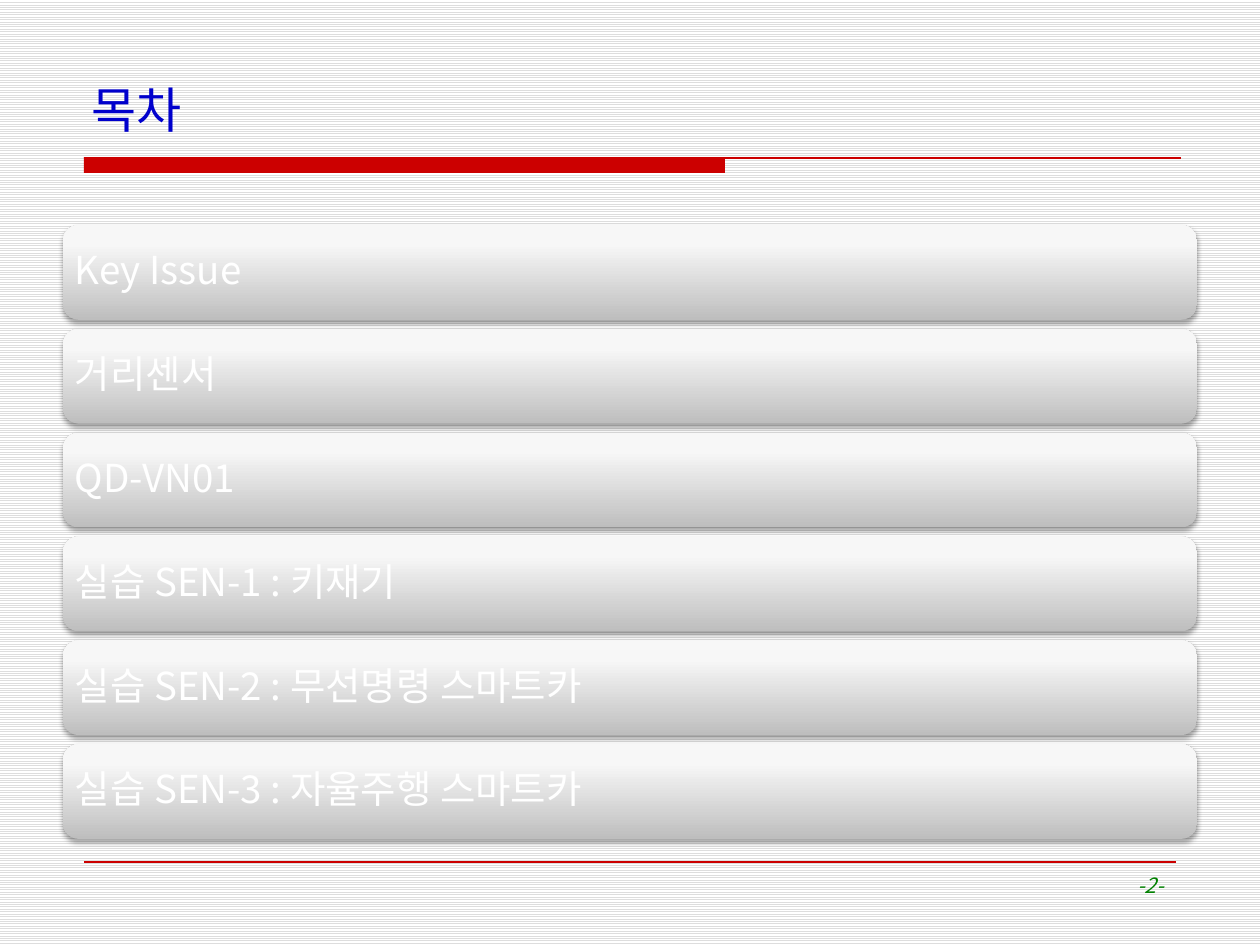
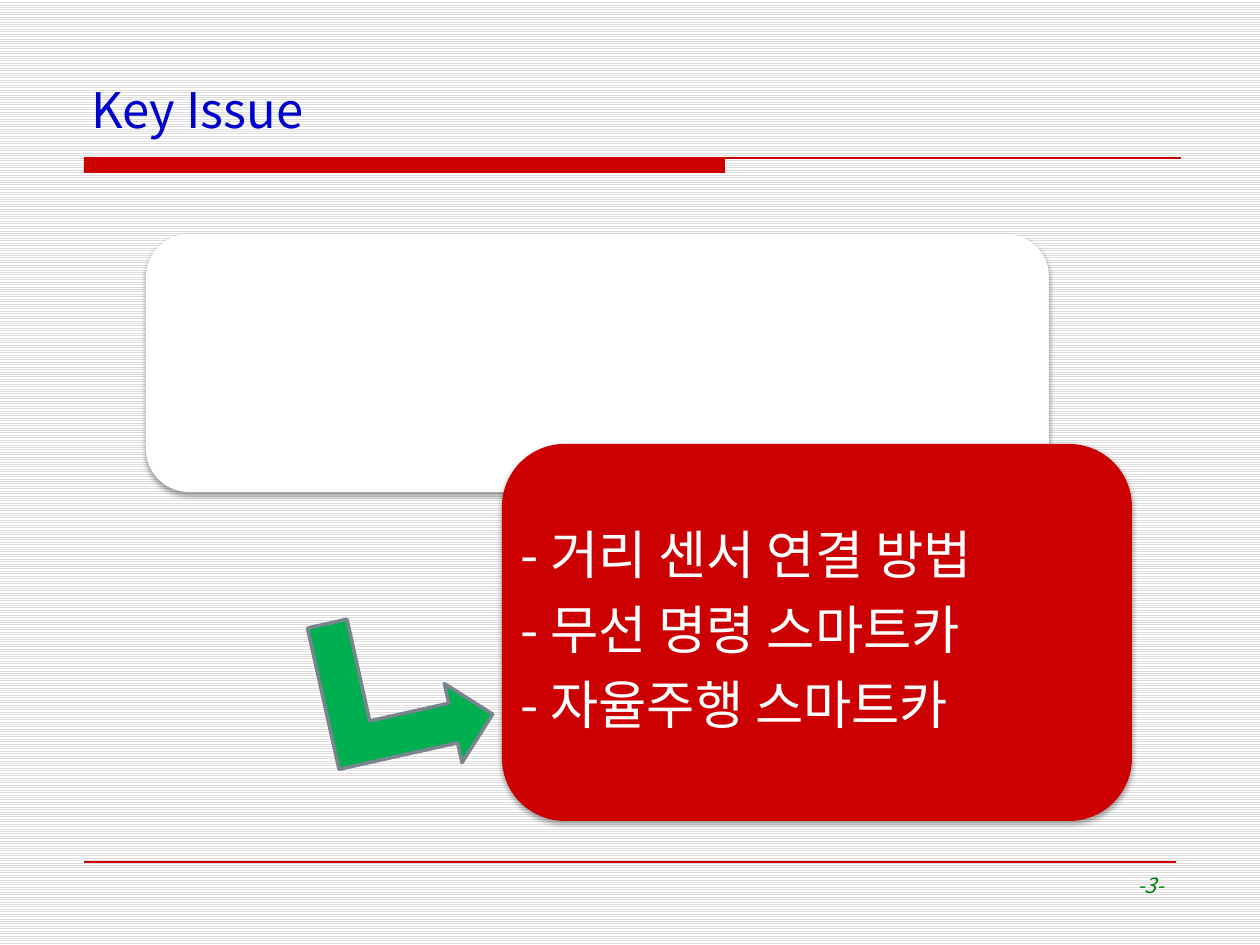
from copy import deepcopy
from dataclasses import dataclass

from lxml import etree
from pptx import Presentation
from pptx.dml.color import RGBColor as RGB
from pptx.enum.dml import MSO_PATTERN as PATTERN
from pptx.enum.shapes import MSO_CONNECTOR as CONN, MSO_SHAPE as SHAPE
from pptx.enum.text import MSO_ANCHOR as ANCHOR, PP_ALIGN as ALIGN
from pptx.oxml.ns import qn
from pptx.util import Emu, Pt

SCALE = 914400 / 126
WIDTH, HEIGHT = 1260, 945
CORNER_INSET = 0.1667 * 0.29  # text inset of a rounded rectangle, per short side


@dataclass(frozen=True)
class Theme:
    font: str = "Noto Sans CJK KR"
    stripe: str = "DDDDDD"
    white: str = "FFFFFF"
    red: str = "CC0000"
    title: str = "0000CC"
    page: str = "008000"
    arrow: str = "00B050"
    arrow_line: str = "79848F"
    bar: tuple = ((0, "BEBEBE"), (0.8, "F7F7F7"), (1, "F8F8F8"))
    title_size: int = 28
    item_size: int = 22
    issue_size: int = 30
    page_size: int = 12


T = Theme()


def px(n):
    return Emu(round(n * SCALE))


def box(*values):
    return [px(v) for v in values]


def color(code):
    return RGB.from_string(code)


def set_attrs(obj, values):
    for name, value in values.items():
        setattr(obj, name, value)


def write(sp, lines, size, code, frame=None, para=None, font=None):
    """Fill a shape's text frame, one paragraph for each line."""
    tf = sp.text_frame
    set_attrs(tf, {"word_wrap": True, **(frame or {})})
    for i, line in enumerate(lines):
        p = tf.add_paragraph() if i else tf.paragraphs[0]
        set_attrs(p, {"alignment": ALIGN.LEFT, **(para or {})})
        r = p.add_run()
        r.text = line
        set_attrs(r.font, {"name": T.font, "size": Pt(size), **(font or {})})
        r.font.color.rgb = color(code)
        ea = etree.SubElement(r._r.get_or_add_rPr(), qn("a:ea"))
        ea.set("typeface", T.font)


def add_block(slide, kind, area, code=None):
    """Preset shape with no line or shadow, solid when a colour is given."""
    sp = slide.shapes.add_shape(kind, *box(*area))
    sp.shadow.inherit = False
    sp.line.fill.background()
    if code:
        sp.fill.solid()
        sp.fill.fore_color.rgb = color(code)
    return sp


def add_rule(slide, x1, x2, y):
    line = slide.shapes.add_connector(CONN.STRAIGHT, *box(x1, y, x2, y))
    line.line.color.rgb = color(T.red)
    line.line.width = Pt(1)
    etree.SubElement(line._element.spPr, qn("a:effectLst"))


def drop_shadow(sp):
    effects = sp._element.spPr.find(qn("a:effectLst"))
    shadow = etree.SubElement(
        effects, qn("a:outerShdw"), blurRad=str(Pt(3.1)), dist=str(Pt(1.8)),
        dir="5400000", rotWithShape="0")
    black = etree.SubElement(shadow, qn("a:srgbClr"), val="000000")
    etree.SubElement(black, qn("a:alpha"), val="35000")


def shade(sp, stops):
    """Gradient running from the bottom edge to the top."""
    sp.fill.gradient()
    sp.fill.gradient_angle = 90
    stop_list = next(sp._element.spPr.iter(qn("a:gsLst")))
    while len(stop_list) < len(stops):
        stop_list.append(deepcopy(stop_list[-1]))
    for stop, (position, code) in zip(sp.fill.gradient_stops, stops):
        stop.position = position
        stop.color.rgb = color(code)


def add_card(slide, area, code=None):
    sp = add_block(slide, SHAPE.ROUNDED_RECTANGLE, area, code)
    drop_shadow(sp)
    return sp


def write_card(sp, area, lines, size, inset):
    margin = px(max(0, inset - min(area[2:]) * CORNER_INSET))
    sides = ("left", "right", "top", "bottom")
    write(sp, lines, size, T.white,
          frame={"vertical_anchor": ANCHOR.MIDDLE,
                 **{f"margin_{side}": margin for side in sides}},
          para={"line_spacing": 0.9, "space_after": Pt(size * 0.35)})


def add_base(prs, title, page):
    """Striped slide with title, red band and footer."""
    slide = prs.slides.add_slide(prs.slide_layouts[6])
    fill = slide.background.fill
    fill.patterned()
    fill.pattern = PATTERN.LIGHT_HORIZONTAL
    fill.fore_color.rgb = color(T.stripe)
    fill.back_color.rgb = color(T.white)
    # Band and rules
    add_block(slide, SHAPE.RECTANGLE, (84, 157, 641, 16), T.red)
    add_rule(slide, 84, 1181, 158)
    add_rule(slide, 84, 1176, 862)
    # Title and page number
    heading = slide.shapes.add_textbox(*box(79, 66, 1102, 79))
    write(heading, [title], T.title_size, T.title,
          frame={"vertical_anchor": ANCHOR.BOTTOM})
    number = slide.shapes.add_textbox(*box(903, 866, 273, 59))
    write(number, [f"-{page}-"], T.page_size, T.page,
          para={"alignment": ALIGN.RIGHT}, font={"italic": True})
    return slide


def add_contents(slide, area, items, gap=9):
    """Equal bars stacked in the area."""
    x, y, w, h = area
    bar_h = (h - gap * (len(items) - 1)) / len(items)
    for i, item in enumerate(items):
        bar = (x, y + i * (bar_h + gap), w, bar_h)
        sp = add_card(slide, bar)
        shade(sp, T.bar)
        write_card(sp, bar, [item], T.item_size, 12)


def add_issues(slide, area, issues):
    """White panel, red card over its corner, and an arrow to the card."""
    x, y, w, h = area
    add_card(slide, (x, y, 903, 258), T.white)
    card = (x + w - 630, y + h - 377, 630, 377)
    write_card(add_card(slide, card, T.red), card, issues, T.issue_size, 15)
    arrow = add_block(slide, SHAPE.BENT_UP_ARROW, (x + 176, y + 376, 165, 162), T.arrow)
    arrow.rotation = 77.4
    arrow.line.color.rgb = color(T.arrow_line)
    arrow.line.width = Pt(2)


prs = Presentation()
prs.slide_width, prs.slide_height = box(WIDTH, HEIGHT)

add_contents(add_base(prs, "목차", 2), (63, 225, 1134, 614), [
    "Key Issue",
    "거리센서",
    "QD-VN01",
    "실습 SEN-1 : 키재기",
    "실습 SEN-2 : 무선명령 스마트카",
    "실습 SEN-3 : 자율주행 스마트카",
])
add_issues(add_base(prs, "Key Issue", 3), (146, 234, 986, 587), [
    "- 거리 센서 연결 방법",
    "- 무선 명령 스마트카",
    "- 자율주행 스마트카",
])

prs.save("out.pptx")
